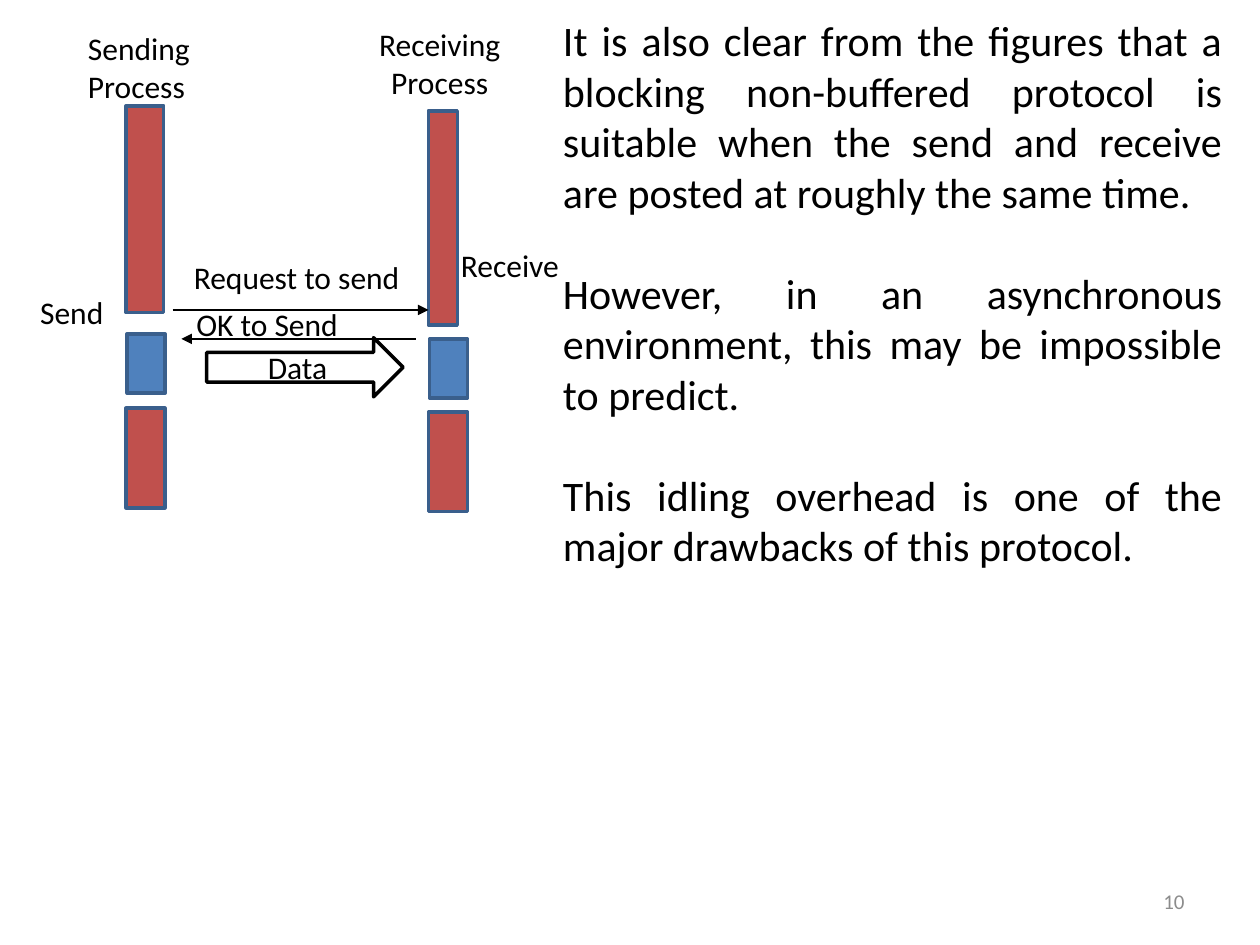
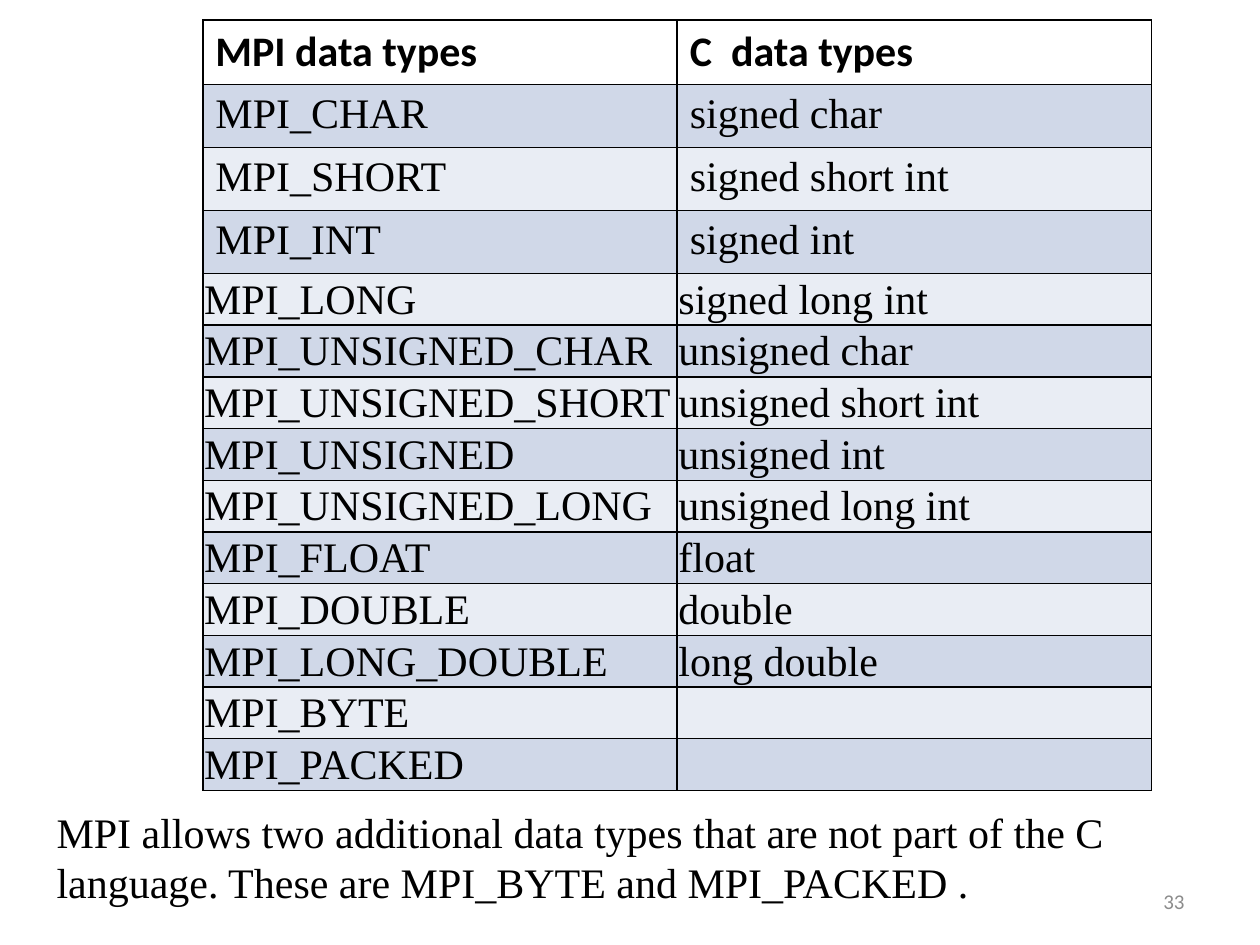
"""Build two slides: a blocking send and receive diagram, and the MPI data types table."""
from dataclasses import dataclass

from lxml import etree
from pptx import Presentation
from pptx.dml.color import RGBColor
from pptx.enum.shapes import MSO_CONNECTOR, MSO_SHAPE
from pptx.enum.text import MSO_ANCHOR, PP_ALIGN
from pptx.oxml import parse_xml
from pptx.oxml.ns import nsdecls, qn
from pptx.util import Inches, Pt

LEFT, CENTER, RIGHT, JUSTIFY = PP_ALIGN.LEFT, PP_ALIGN.CENTER, PP_ALIGN.RIGHT, PP_ALIGN.JUSTIFY
TOP, MIDDLE = MSO_ANCHOR.TOP, MSO_ANCHOR.MIDDLE
RECTANGLE, RIGHT_ARROW = MSO_SHAPE.RECTANGLE, MSO_SHAPE.RIGHT_ARROW
STRAIGHT = MSO_CONNECTOR.STRAIGHT


@dataclass(frozen=True)
class Theme:
    """Colours, fonts and type sizes of both slides."""
    ink: RGBColor = RGBColor.from_string("000000")
    muted: RGBColor = RGBColor.from_string("8C8C8C")
    busy: RGBColor = RGBColor.from_string("C0504D")
    transfer: RGBColor = RGBColor.from_string("4F81BD")
    outline: RGBColor = RGBColor.from_string("3A5F8C")
    dark_band: RGBColor = RGBColor.from_string("D0D8E8")
    light_band: RGBColor = RGBColor.from_string("E9EDF4")
    sans: str = "Calibri"
    serif: str = "Times New Roman"
    body: Pt = Pt(24)
    label: Pt = Pt(18)
    number: Pt = Pt(12)


theme = Theme()
presentation = Presentation()
presentation.slide_width, presentation.slide_height = Inches(10), Inches(7.5)
COLUMN = presentation.slide_width // 100
ROW = presentation.slide_height // 75


def place(left, top, width, height):
    """Turn grid columns and rows into slide lengths."""
    return [round(left * COLUMN), round(top * ROW), round(width * COLUMN), round(height * ROW)]


def write(frame, lines, alignment=LEFT, anchor=TOP, gap=0, **font_format):
    """Fill a text frame with one paragraph per line."""
    frame.word_wrap, frame.vertical_anchor = True, anchor
    font_values = {"name": theme.sans, "size": theme.label, "bold": False} | font_format
    color = font_values.pop("color", theme.ink)
    for index, line in enumerate(lines):
        paragraph = frame.add_paragraph() if index else frame.paragraphs[0]
        paragraph.alignment = alignment
        if index and gap:
            paragraph.space_before = Pt(gap)
        run = paragraph.add_run()
        run.text = line
        for name, value in font_values.items():
            setattr(run.font, name, value)
        run.font.color.rgb = color


blank_layout = presentation.slide_layouts[6]
protocol_slide, types_slide = [presentation.slides.add_slide(blank_layout) for _ in range(2)]
for slide, number in ((protocol_slide, "10"), (types_slide, "33")):
    number_box = slide.shapes.add_textbox(*place(71.7, 69.5, 23.3, 4))
    write(number_box.text_frame, [number], RIGHT, MIDDLE, size=theme.number, color=theme.muted)

explanation = [
    "It is also clear from the figures that a blocking non-buffered protocol is suitable "
    "when the send and receive are posted at roughly the same time. ",
    "However, in an asynchronous environment, this may be impossible to predict. ",
    "This idling overhead is one of the major drawbacks of this protocol.",
]
explanation_box = protocol_slide.shapes.add_textbox(*place(43.7, 0.7, 54.3, 45.4))
write(explanation_box.text_frame, explanation, JUSTIFY, gap=29, size=theme.body)

process_bars = [
    (10, 8.4, 3, 16.4, theme.busy),
    (10.1, 26.5, 3, 4.7, theme.transfer),
    (10, 32.4, 3.1, 7.9, theme.busy),
    (34, 8.8, 2.3, 17, theme.busy),
    (34.1, 26.9, 3, 4.7, theme.transfer),
    (34, 32.7, 3.1, 7.9, theme.busy),
]
for *area, color in process_bars:
    bar = protocol_slide.shapes.add_shape(RECTANGLE, *place(*area))
    bar.shadow.inherit = False
    bar.fill.solid()
    bar.fill.fore_color.rgb = color
    bar.line.color.rgb, bar.line.width = theme.outline, Pt(2)

for start, end, level in ((13.7, 34, 24.6), (33, 14.4, 26.9)):
    start_x, start_y, end_x, end_y = place(start, level, end, level)
    message = protocol_slide.shapes.add_connector(STRAIGHT, start_x, start_y, end_x, end_y)
    message.line.color.rgb, message.line.width = theme.ink, Pt(0.75)
    etree.SubElement(message.line._get_or_add_ln(), qn("a:tailEnd"), type="triangle")
    etree.SubElement(message._element.spPr, qn("a:effectLst"))

data_arrow = protocol_slide.shapes.add_shape(RIGHT_ARROW, *place(16.4, 26.8, 15.6, 4.7))
data_arrow.shadow.inherit = False
data_arrow.fill.background()
data_arrow.line.color.rgb, data_arrow.line.width = theme.ink, Pt(2)
write(data_arrow.text_frame, ["Data"], CENTER, MIDDLE)

diagram_labels = [
    (6, 1.8, 15.6, 7.1, ["Sending", "Process"], LEFT),
    (28.7, 1.5, 12.4, 7.1, ["Receiving", "Process"], CENTER),
    (2.2, 22.8, 7.8, 4, ["Send"], LEFT),
    (35.6, 19, 11.7, 4, ["Receive"], LEFT),
    (14.4, 20, 19.6, 4, ["Request to send"], LEFT),
    (14.6, 23.7, 15.6, 4, ["OK to Send"], LEFT),
]
for *area, lines, alignment in diagram_labels:
    label_box = protocol_slide.shapes.add_textbox(*place(*area))
    write(label_box.text_frame, lines, alignment)

data_types = [
    ("MPI data types", "C  data types"),
    ("MPI_CHAR", "signed char"),
    ("MPI_SHORT", "signed short int"),
    ("MPI_INT", "signed int"),
    ("MPI_LONG", "signed long int"),
    ("MPI_UNSIGNED_CHAR", "unsigned char"),
    ("MPI_UNSIGNED_SHORT", "unsigned short int"),
    ("MPI_UNSIGNED", "unsigned int"),
    ("MPI_UNSIGNED_LONG", "unsigned long int"),
    ("MPI_FLOAT", "float"),
    ("MPI_DOUBLE", "double"),
    ("MPI_LONG_DOUBLE", "long double"),
    ("MPI_BYTE", ""),
    ("MPI_PACKED", ""),
]
row_heights = [5.1] + [4.7] * 3 + [4.06] * 10
compact_format = {
    "margin_left": Inches(0.01), "margin_right": Inches(0.01),
    "margin_top": Inches(0.01), "margin_bottom": 0,
}
table_area = place(16.1, 1.6, 75.3, sum(row_heights))
table = types_slide.shapes.add_table(len(data_types), 2, *table_area).table
table.horz_banding = False
for row_index, names in enumerate(data_types):
    table.rows[row_index].height = round(row_heights[row_index] * ROW)
    is_header, is_compact = row_index == 0, row_index > 3
    for column_index, name in enumerate(names):
        cell = table.cell(row_index, column_index)
        for side in ("lnL", "lnR", "lnT", "lnB"):
            cell._tc.get_or_add_tcPr().append(parse_xml(
                f'<a:{side} {nsdecls("a")} w="12700"><a:solidFill>'
                f'<a:srgbClr val="{theme.ink}"/></a:solidFill></a:{side}>'))
        if is_header:
            cell.fill.background()
        else:
            cell.fill.solid()
            cell.fill.fore_color.rgb = theme.dark_band if row_index % 2 else theme.light_band
        if is_compact:
            for attribute, value in compact_format.items():
                setattr(cell, attribute, value)
        if name:
            write(cell.text_frame, [name], size=theme.body, bold=is_header,
                  name=theme.sans if is_header else theme.serif)
        cell.vertical_anchor = MIDDLE if is_compact else TOP

note_box = types_slide.shapes.add_textbox(*place(3.5, 63.5, 94.5, 9.1))
note = ("MPI allows two additional data types that are not part of the C language. "
        "These are MPI_BYTE and MPI_PACKED .")
write(note_box.text_frame, [note], size=theme.body, name=theme.serif)

presentation.save("out.pptx")
